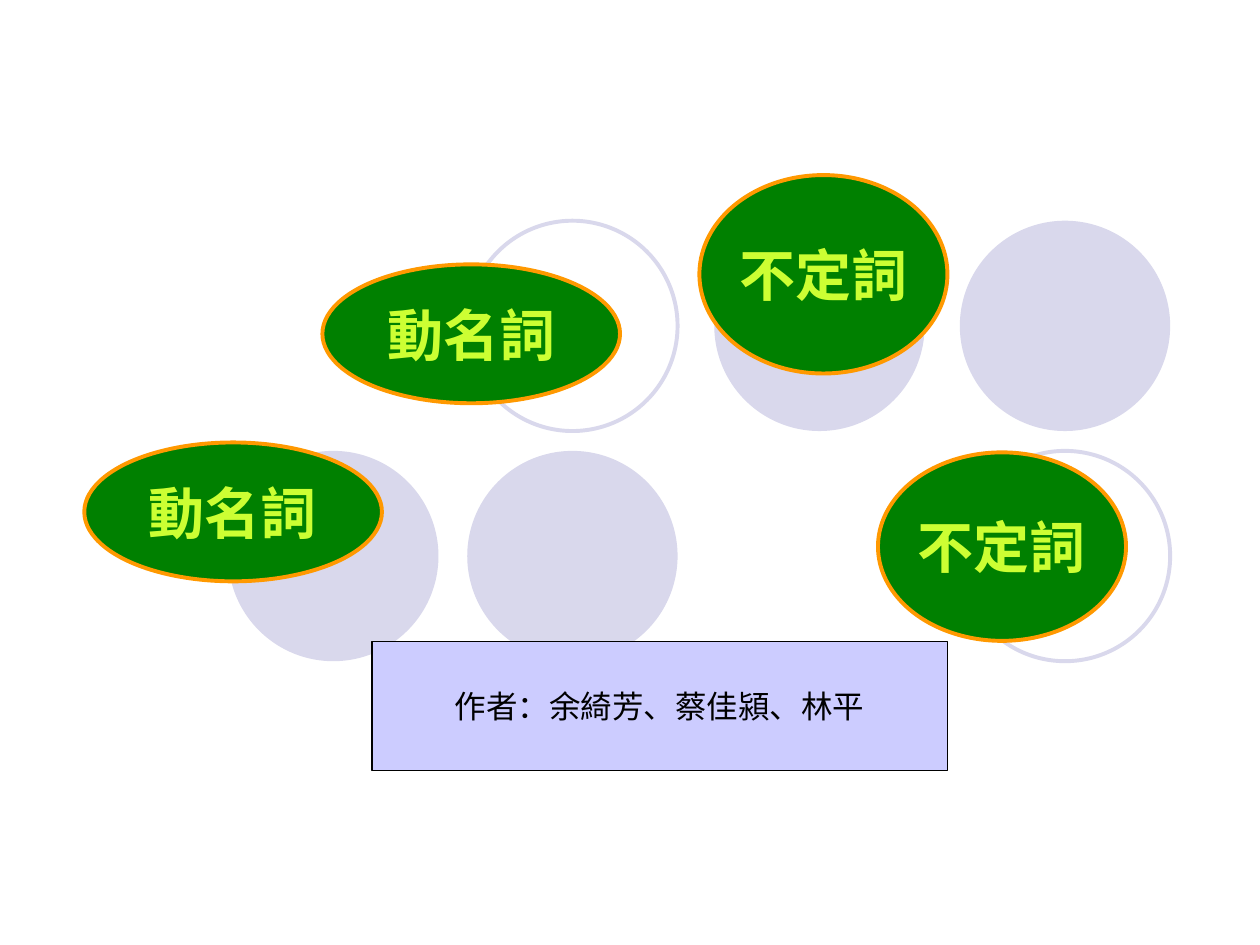
from pptx import Presentation, util as u
from pptx.dml.color import RGBColor
from pptx.enum import shapes, text

COLORS = {
    "circle": "D9D8EC", "oval": "008000", "rim": "FF9900", "word": "CCFF33",
    "panel": "CCCCFF", "ink": "000000",
}
OVAL = shapes.MSO_SHAPE.OVAL
RECTANGLE = shapes.MSO_SHAPE.RECTANGLE


def color(name):
    return RGBColor.from_string(COLORS[name])


def add_figure(slide, preset, box, fill=None, line=None, width=2.25):
    """Draw a preset shape in a (left, top, width, height) box in cm."""
    figure = slide.shapes.add_shape(preset, *(u.Cm(side) for side in box))
    figure.shadow.inherit = False
    if fill:
        figure.fill.solid()
        figure.fill.fore_color.rgb = color(fill)
    else:
        figure.fill.background()
    if line:
        figure.line.color.rgb = color(line)
        figure.line.width = u.Pt(width)
    else:
        figure.line.fill.background()
    return figure


def write(figure, words, size, ink, bold=False):
    frame = figure.text_frame
    frame.word_wrap = False
    frame.vertical_anchor = text.MSO_ANCHOR.MIDDLE
    paragraph = frame.paragraphs[0]
    paragraph.alignment = text.PP_ALIGN.CENTER
    run = paragraph.add_run()
    run.text = words
    run.font.name = "Arial"
    run.font.size = u.Pt(size)
    run.font.bold = bold
    run.font.color.rgb = color(ink)


def add_circles(slide, left, top):
    """Two rows of background circles; each row lists (column, filled)."""
    diameter, row_pitch = 4.24, 4.64
    columns = [0, 4.82, 9.8, 14.75]
    rows = [
        [(3, True), (2, True), (1, False)],
        [(1, True), (0, True), (3, False)],
    ]
    for row, circles in enumerate(rows):
        for column, filled in circles:
            box = (left + columns[column], top + row * row_pitch, diameter, diameter)
            style = {"fill": "circle"} if filled else {"line": "circle"}
            add_figure(slide, OVAL, box, **style)


def add_term(slide, term, box):
    oval = add_figure(slide, OVAL, box, fill="oval", line="rim")
    write(oval, term, size=32, ink="word", bold=True)


def add_authors(slide, authors, box):
    panel = add_figure(slide, RECTANGLE, box, fill="panel", line="ink", width=0.75)
    write(panel, authors, size=18, ink="ink")


def main():
    deck = Presentation()
    deck.slide_width, deck.slide_height = u.Cm(25.4), u.Cm(19.05)
    slide = deck.slides.add_slide(deck.slide_layouts[6])

    # Background circles
    add_circles(slide, 4.6, 4.45)

    # Grammar terms
    gerund, infinitive = "動名詞", "不定詞"
    add_term(slide, gerund, (1.7, 8.92, 6, 2.8))
    add_term(slide, infinitive, (14.1, 3.53, 5, 4))
    add_term(slide, gerund, (6.5, 5.33, 6, 2.8))
    add_term(slide, infinitive, (17.7, 9.12, 5, 3.8))

    # Authors
    add_authors(slide, "作者：余綺芳、蔡佳潁、林平", (7.5, 12.93, 11.6, 2.6))

    deck.save("out.pptx")


if __name__ == "__main__":
    main()
